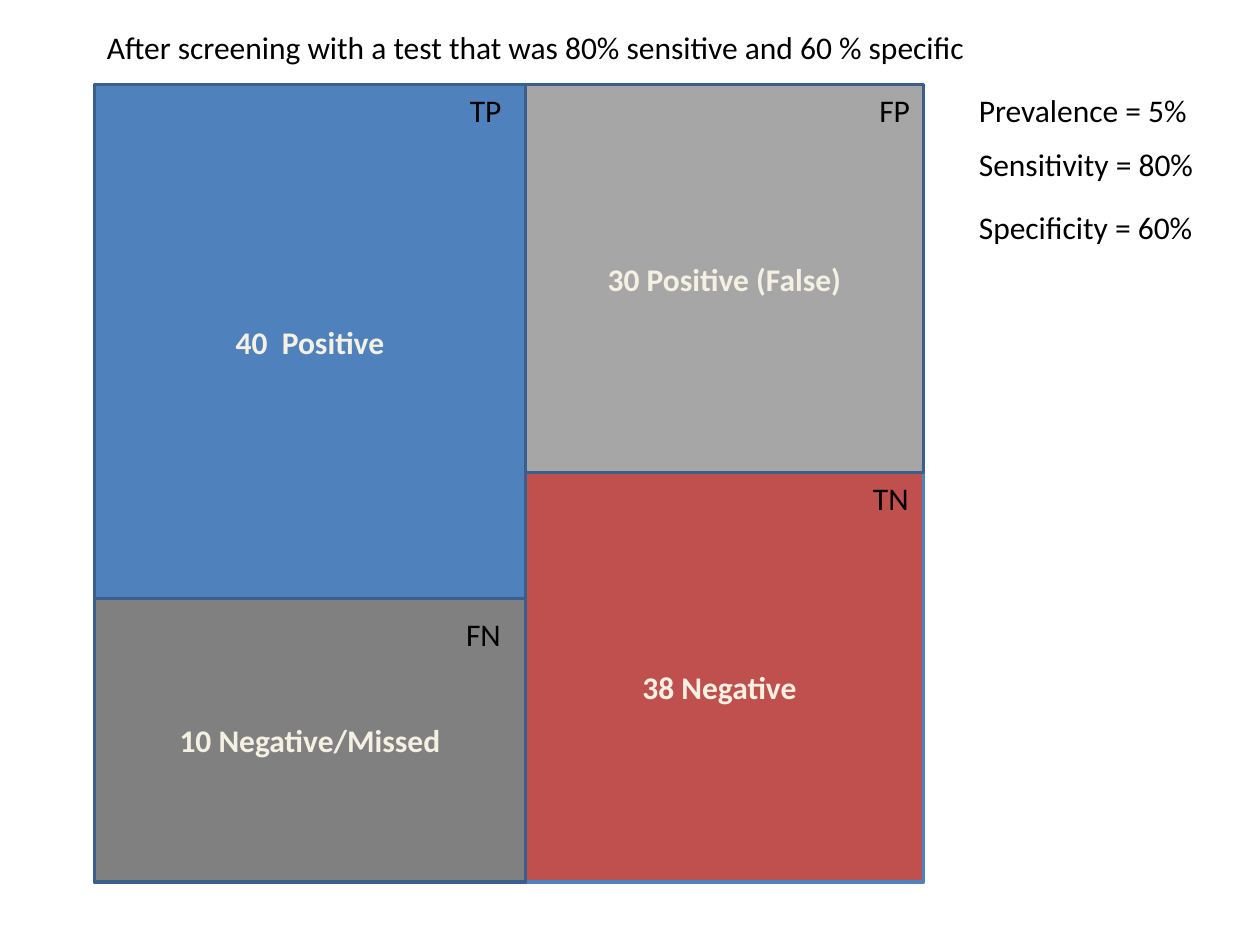
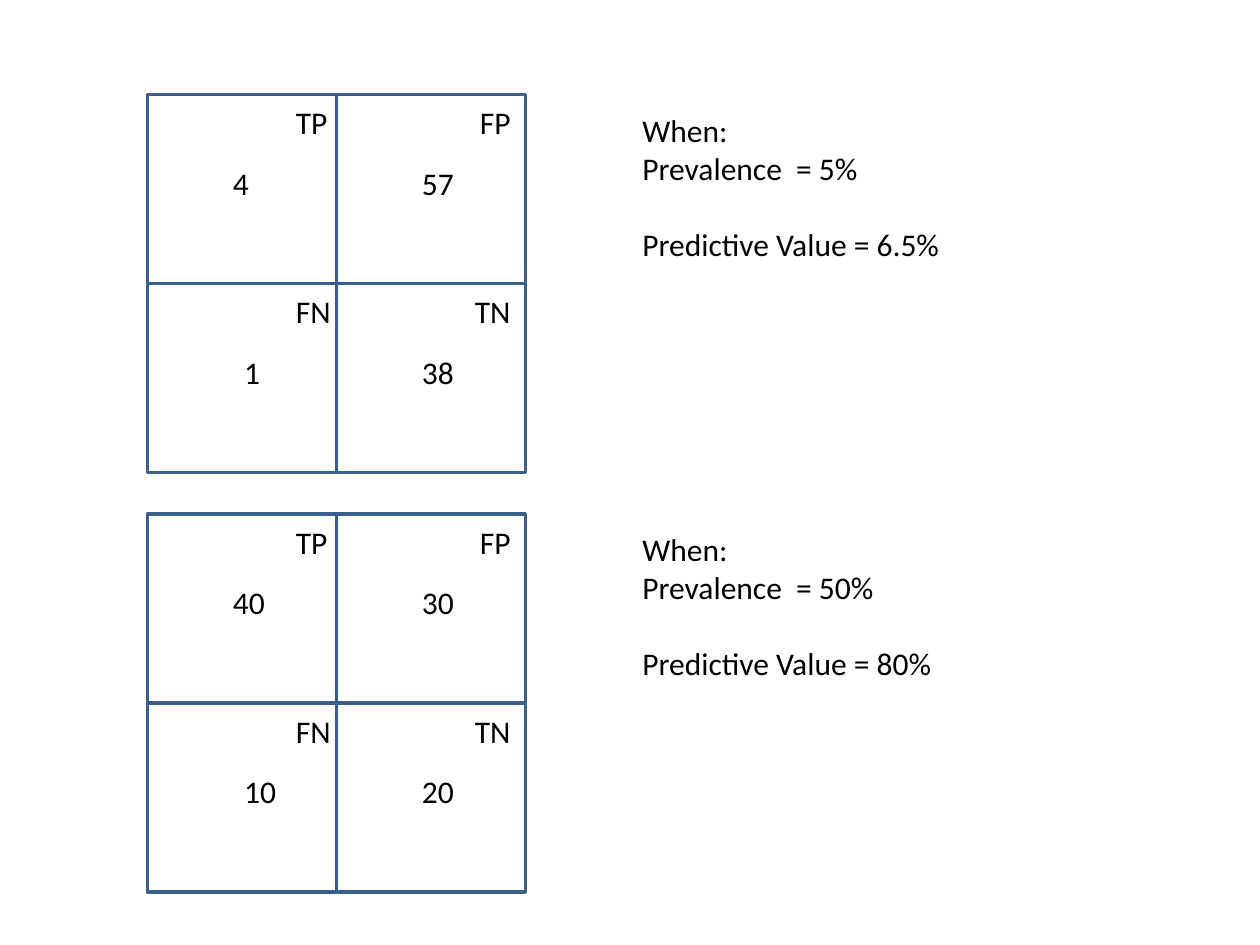
from dataclasses import dataclass

import lxml.etree
import pptx
import pptx.dml.color
import pptx.enum.shapes
import pptx.enum.text
import pptx.oxml.ns
import pptx.util
from pptx.util import Inches


@dataclass(frozen=True)
class Theme:
    font: str = "Calibri"
    text_size: int = 18
    paragraph_gap: int = 22
    line_width: int = 2
    text_outline_width: int = 1
    text: str = "000000"
    cell_text: str = "F4F1E3"
    cell_text_outline: str = "054697"
    border: str = "3A5F8C"
    frame_border: str = "4F81BD"
    true_positive: str = "4F81BD"
    false_positive: str = "A6A6A6"
    false_negative: str = "808080"
    true_negative: str = "C0504D"
    empty_cell: str = "FFFFFF"


@dataclass(frozen=True)
class Cell:
    left: float
    top: float
    width: float
    height: float
    fill: str
    border: str
    text: str = ""


@dataclass(frozen=True)
class Label:
    left: float
    top: float
    width: float
    text: str
    emphasis: bool = False


@dataclass(frozen=True)
class Comparison:
    top: float
    counts: tuple[str, ...]
    prevalence: str
    predictive_value: str


THEME = Theme()
LABEL_HEIGHT = 0.4


def color(value: str) -> pptx.dml.color.RGBColor:
    return pptx.dml.color.RGBColor.from_string(value)


def apply_format(target, values: dict) -> None:
    for name, value in values.items():
        setattr(target, name, value)


def write(paragraph, text: str, emphasis: bool = False) -> None:
    run = paragraph.add_run()
    run.text = text
    apply_format(run.font, {
        "name": THEME.font,
        "size": pptx.util.Pt(THEME.text_size),
        "bold": emphasis,
    })
    run.font.color.rgb = color(THEME.cell_text if emphasis else THEME.text)
    if emphasis:
        name = pptx.oxml.ns.qn
        outline = lxml.etree.Element(
            name("a:ln"), w=str(pptx.util.Pt(THEME.text_outline_width)))
        fill = lxml.etree.SubElement(outline, name("a:solidFill"))
        lxml.etree.SubElement(
            fill, name("a:srgbClr"), val=THEME.cell_text_outline)
        run.font._element.insert(0, outline)


def draw_cell(slide, cell: Cell) -> None:
    shape = slide.shapes.add_shape(
        pptx.enum.shapes.MSO_SHAPE.RECTANGLE, Inches(cell.left),
        Inches(cell.top), Inches(cell.width), Inches(cell.height))
    shape.shadow.inherit = False
    shape.fill.solid()
    shape.fill.fore_color.rgb = color(cell.fill)
    shape.line.color.rgb = color(cell.border)
    shape.line.width = pptx.util.Pt(THEME.line_width)
    if cell.text:
        shape.text_frame.vertical_anchor = pptx.enum.text.MSO_ANCHOR.MIDDLE
        paragraph = shape.text_frame.paragraphs[0]
        paragraph.alignment = pptx.enum.text.PP_ALIGN.CENTER
        write(paragraph, cell.text, emphasis=True)


def add_text_frame(slide, left: float, top: float, width: float,
                   height: float, wrap: bool):
    frame = slide.shapes.add_textbox(
        Inches(left), Inches(top), Inches(width), Inches(height)).text_frame
    apply_format(frame, {
        "word_wrap": wrap,
        "auto_size": pptx.enum.text.MSO_AUTO_SIZE.SHAPE_TO_FIT_TEXT,
    })
    return frame


def draw_label(slide, label: Label) -> None:
    frame = add_text_frame(
        slide, label.left, label.top, label.width, LABEL_HEIGHT, False)
    write(frame.paragraphs[0], label.text, label.emphasis)


def build_screening_slide(slide) -> None:
    left, middle, right = 0.75, 4.17, 7.33
    top, bottom = 0.67, 7.0
    positive_split, negative_split = 4.75, 3.75
    positive_width, negative_width = middle - left, right - middle
    cells = (
        Cell(left, top, right - left, bottom - top,
             THEME.true_negative, THEME.frame_border),
        Cell(middle, top, negative_width, negative_split - top,
             THEME.false_positive, THEME.border, "30 Positive (False)"),
        Cell(left, top, positive_width, positive_split - top,
             THEME.true_positive, THEME.border, "40  Positive"),
        Cell(left, positive_split, positive_width, bottom - positive_split,
             THEME.false_negative, THEME.border, "10 Negative/Missed"),
    )
    labels = (
        Label(left, 0.17, 7.13,
              "After screening with a test that was 80% sensitive"
              " and 60 % specific"),
        Label(7.67, top, 1.87, "Prevalence = 5%"),
        Label(7.67, 1.1, 1.92, "Sensitivity = 80%"),
        Label(7.67, 1.6, 1.92, "Specificity = 60%"),
        Label(5, 5.25, 1.44, "38 Negative", emphasis=True),
        Label(3.63, top, 0.45, "TP"),
        Label(3.6, 4.83, 0.48, "FN"),
        Label(6.88, top, 0.45, "FP"),
        Label(6.83, negative_split, 0.49, "TN"),
    )
    for cell in cells:
        draw_cell(slide, cell)
    for label in labels:
        draw_label(slide, label)


def draw_comparison(slide, comparison: Comparison) -> None:
    left, side = 1.17, 1.5
    top = comparison.top
    for index in range(4):
        row, column = divmod(index, 2)
        draw_cell(slide, Cell(left + column * side, top + row * side,
                              side, side, THEME.empty_cell, THEME.border))

    names = (("TP", 2.25, 0.45), ("FP", 3.71, 0.45),
             ("FN", 2.25, 0.48), ("TN", 3.67, 0.49))
    count_lefts = (1.75, 3.25, 1.84, 3.25)
    for index, (name, name_left, name_width) in enumerate(names):
        row_top = top + index // 2 * side
        count = comparison.counts[index]
        draw_label(slide, Label(name_left, row_top + 0.02, name_width, name))
        draw_label(slide, Label(count_lefts[index], row_top + 0.5,
                                0.2 + 0.13 * len(count), count))

    frame = add_text_frame(slide, 5, top + 0.08, 3.75, 1.31, True)
    lines = ("When:", f"Prevalence  = {comparison.prevalence}",
             f"Predictive Value = {comparison.predictive_value}")
    for index, line in enumerate(lines):
        paragraph = frame.add_paragraph() if index else frame.paragraphs[0]
        write(paragraph, line)
    paragraph.space_before = pptx.util.Pt(THEME.paragraph_gap)


def build_comparison_slide(slide) -> None:
    comparisons = (
        Comparison(4.08, ("40", "30", "10", "20"), "50%", "80%"),
        Comparison(0.75, ("4", "57", "1", "38"), "5%", "6.5%"),
    )
    for comparison in comparisons:
        draw_comparison(slide, comparison)


def main() -> None:
    presentation = pptx.Presentation()
    apply_format(presentation, {
        "slide_width": Inches(10),
        "slide_height": Inches(7.5),
    })
    blank_layout = presentation.slide_layouts[6]
    for build in (build_screening_slide, build_comparison_slide):
        build(presentation.slides.add_slide(blank_layout))
    presentation.save("out.pptx")


main()
